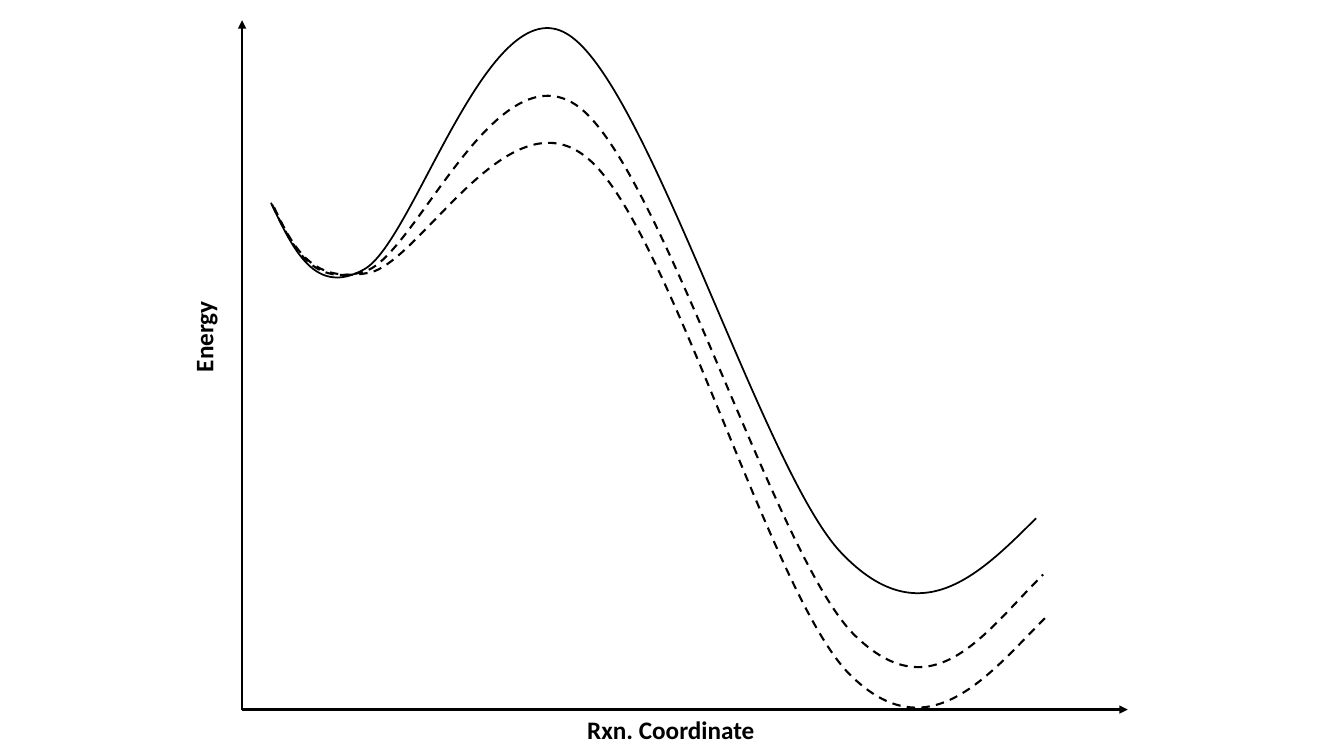
"""Energy diagram: three reaction profiles over a reaction coordinate."""
from lxml.etree import SubElement
from pptx import Presentation
from pptx.dml.color import RGBColor
from pptx.enum.dml import MSO_LINE_DASH_STYLE as Dash
from pptx.enum.shapes import MSO_CONNECTOR as Connector
from pptx.enum.text import MSO_AUTO_SIZE as AutoSize
from pptx.oxml.ns import qn
from pptx.util import Cm, Pt

COLORS = {"ink": "000000"}
FONT = "Calibri"
SLIDE_SIZE = (33.87, 19.05)
STEPS = 40

PROFILES = [
    {"width": 1.25, "dash": None, "points": [
        (6.83, 5.11),
        (7.39, 6.30), (7.95, 7.49), (9.19, 6.78),
        (10.44, 6.07), (12.32, -0.36), (14.30, 0.86),
        (16.31, 2.06), (19.25, 11.91), (21.21, 13.94),
        (23.16, 15.98), (24.64, 14.53), (26.11, 13.06)]},
    {"width": 1.5, "dash": Dash.DASH, "points": [
        (6.86, 5.16),
        (7.42, 6.35), (7.92, 7.24), (9.22, 6.83),
        (10.49, 6.40), (12.52, 1.17), (14.58, 2.69),
        (16.64, 4.22), (19.53, 13.97), (21.51, 15.98),
        (23.52, 17.98), (24.82, 15.93), (26.29, 14.48)]},
    {"width": 1.5, "dash": Dash.DASH, "points": [
        (6.91, 5.23),
        (7.47, 6.43), (7.95, 7.11), (9.27, 6.88),
        (10.57, 6.68), (12.80, 2.29), (14.81, 3.99),
        (16.84, 5.66), (19.43, 15.01), (21.41, 16.99),
        (23.42, 19.00), (24.94, 16.97), (26.42, 15.49)]},
]

ORIGIN = (6.1, 17.88)
AXES = [
    {"tip": (6.1, 0.51), "width": 2},
    {"tip": (28.42, 17.88), "width": 1.75},
]

LABELS = [
    {"text": "Energy", "box": (4.62, 7.27, 1.27, 2.36), "vert": "vert270"},
    {"text": "Rxn. Coordinate", "box": (14.55, 17.88, 5.38, 1.02), "vert": "horz"},
]


def ink():
    return RGBColor.from_string(COLORS["ink"])


def style_line(line, width):
    line.color.rgb = ink()
    line.width = Pt(width)


def bezier_point(segment, t):
    weights = ((1 - t) ** 3, 3 * t * (1 - t) ** 2, 3 * t * t * (1 - t), t ** 3)
    return tuple(round(sum(w * p[axis] for w, p in zip(weights, segment)))
                 for axis in (0, 1))


def add_profile(slide, profile):
    points = [(Cm(x), Cm(y)) for x, y in profile["points"]]
    segments = [points[i:i + 4] for i in range(0, len(points) - 1, 3)]
    outline = [bezier_point(segment, step / STEPS)
               for segment in segments for step in range(1, STEPS + 1)]
    builder = slide.shapes.build_freeform(*points[0], scale=1.0)
    builder.add_line_segments(outline, close=False)
    shape = builder.convert_to_shape()

    path = shape._element.find(".//" + qn("a:path"))
    for straight in path.findall(qn("a:lnTo")):
        path.remove(straight)
    for segment in segments:
        curve = SubElement(path, qn("a:cubicBezTo"))
        for x, y in segment[1:]:
            SubElement(curve, qn("a:pt"), x=str(x - shape.left), y=str(y - shape.top))

    shape.shadow.inherit = False
    shape.fill.background()
    style_line(shape.line, profile["width"])
    if profile["dash"]:
        shape.line.dash_style = profile["dash"]


def add_axis(slide, axis):
    ends = [Cm(value) for value in axis["tip"] + ORIGIN]
    connector = slide.shapes.add_connector(Connector.STRAIGHT, *ends)
    style_line(connector.line, axis["width"])
    SubElement(connector.line._get_or_add_ln(), qn("a:headEnd"), type="triangle")
    SubElement(connector._element.spPr, qn("a:effectLst"))


def add_label(slide, label):
    shape = slide.shapes.add_textbox(*(Cm(value) for value in label["box"]))
    text_frame = shape.text_frame
    text_frame.text = label["text"]
    text_frame.word_wrap = True
    text_frame.auto_size = AutoSize.SHAPE_TO_FIT_TEXT
    text_frame._txBody.bodyPr.set("vert", label["vert"])
    font = text_frame.paragraphs[0].runs[0].font
    font.name, font.size, font.bold = FONT, Pt(18), True
    font.color.rgb = ink()


def main():
    presentation = Presentation()
    presentation.slide_width, presentation.slide_height = map(Cm, SLIDE_SIZE)
    slide = presentation.slides.add_slide(presentation.slide_layouts[6])
    for profile in PROFILES:
        add_profile(slide, profile)
    for axis in AXES:
        add_axis(slide, axis)
    for label in LABELS:
        add_label(slide, label)
    presentation.save("out.pptx")


if __name__ == "__main__":
    main()
